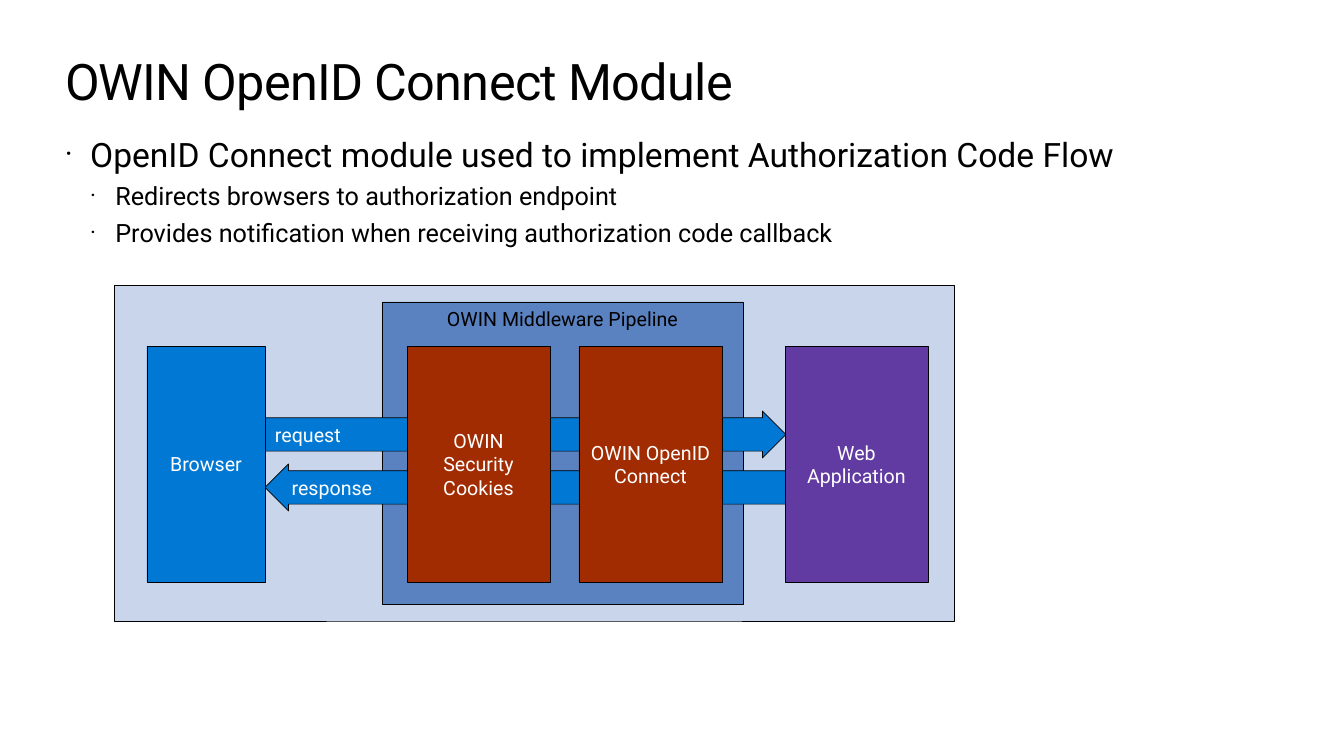
from lxml.etree import SubElement
from pptx import Presentation
from pptx.dml.color import RGBColor
from pptx.enum.shapes import MSO_SHAPE
from pptx.enum.text import MSO_ANCHOR, PP_ALIGN
from pptx.oxml.ns import qn
from pptx.util import Pt

PX = 914400 / 100.8
THEME = {
    "font": "Roboto",
    "black": "000000", "white": "FFFFFF",
    "panel": "C8D5EA", "pipeline": "5A81C0", "blue": "0078D4",
    "purple": "613BA1", "rust": "A22C01",
    "title": 36, "bullet": 24, "sub_bullet": 18, "label": 14,
}


def write_text(text_frame, lines, size, color, align=PP_ALIGN.LEFT):
    """Fill a frame with one paragraph per line and return the paragraphs."""
    text_frame.word_wrap = True
    text_frame.text = "\n".join(lines)
    for paragraph in text_frame.paragraphs:
        paragraph.alignment = align
        for run in paragraph.runs:
            for name, value in {"name": THEME["font"], "size": Pt(THEME[size])}.items():
                setattr(run.font, name, value)
            run.font.color.rgb = RGBColor.from_string(THEME[color])
    return text_frame.paragraphs


def add_block(kind, box, fill, lines=(), color="white",
              align=PP_ALIGN.CENTER, anchor=MSO_ANCHOR.MIDDLE):
    """Draw an outlined shape with an optional label."""
    shape = slide.shapes.add_shape(kind, *[round(value * PX) for value in box])
    shape.shadow.inherit = False
    shape.fill.solid()
    shape.fill.fore_color.rgb = RGBColor.from_string(THEME[fill])
    shape.line.color.rgb = RGBColor.from_string(THEME["black"])
    shape.line.width = Pt(0.5)
    shape.text_frame.vertical_anchor = anchor
    if lines:
        write_text(shape.text_frame, lines, "label", color, align)
    return shape


presentation = Presentation()
presentation.slide_width = round(1344 * PX)
presentation.slide_height = round(756 * PX)
slide = presentation.slides.add_slide(presentation.slide_layouts[5])

# Title and bullet list frames
title = slide.shapes.title
bullets = slide.shapes.add_textbox(0, 0, 0, 0)
for shape, top, height in ((title, 50, 62), (bullets, 134, 114)):
    frame_format = {"left": 65, "top": top, "width": 1215, "height": height}
    for name, value in frame_format.items():
        setattr(shape, name, round(value * PX))
    for side in ("left", "top", "right", "bottom"):
        setattr(shape.text_frame, f"margin_{side}", 0)
    shape.text_frame.vertical_anchor = MSO_ANCHOR.TOP

# Title
heading = write_text(title.text_frame, ["OWIN OpenID Connect Module"], "title", "black")
heading[0].runs[0].font._element.set("spc", "-50")

# Bullets
bullet_lines = [
    "OpenID Connect module used to implement Authorization Code Flow",
    "Redirects browsers to authorization endpoint",
    "Provides notification when receiving authorization code callback",
]
paragraphs = write_text(bullets.text_frame, bullet_lines, "sub_bullet", "black")
paragraphs[0].runs[0].font.size = Pt(THEME["bullet"])
for index, paragraph in enumerate(paragraphs):
    level = min(index, 1)
    paragraph.level = level
    if index:
        paragraph.space_before = Pt(4.5)
    properties = paragraph._p.get_or_add_pPr()
    properties.set("marL", str(round(25.2 * (level + 1) * PX)))
    properties.set("indent", str(round(-25.2 * PX)))
    SubElement(properties, qn("a:buSzPct"), val="90000")
    SubElement(properties, qn("a:buFont"), typeface=THEME["font"])
    SubElement(properties, qn("a:buChar"), char="·")

# Background panel and pipeline
add_block(MSO_SHAPE.RECTANGLE, (114, 285, 840, 336), "panel")
add_block(MSO_SHAPE.RECTANGLE, (382, 302, 361, 302), "pipeline",
          ["OWIN Middleware Pipeline"], "black", anchor=MSO_ANCHOR.TOP)

# Request and response arrows
for kind, top, label in ((MSO_SHAPE.RIGHT_ARROW, 411, "request"),
                         (MSO_SHAPE.LEFT_ARROW, 464, "response")):
    arrow = add_block(kind, (265, top, 521, 47), "blue", [label], align=PP_ALIGN.LEFT)
    arrow.adjustments[0] = 0.71
    arrow.adjustments[1] = 0.5

# Components along the request path
components = [
    (147, 118, "blue", ["Browser"]),
    (407, 143, "rust", ["OWIN", "Security", "Cookies"]),
    (579, 143, "rust", ["OWIN OpenID Connect"]),
    (785, 143, "purple", ["Web", "Application"]),
]
for left, width, fill, lines in components:
    add_block(MSO_SHAPE.RECTANGLE, (left, 346, width, 236), fill, lines)

presentation.save("out.pptx")
